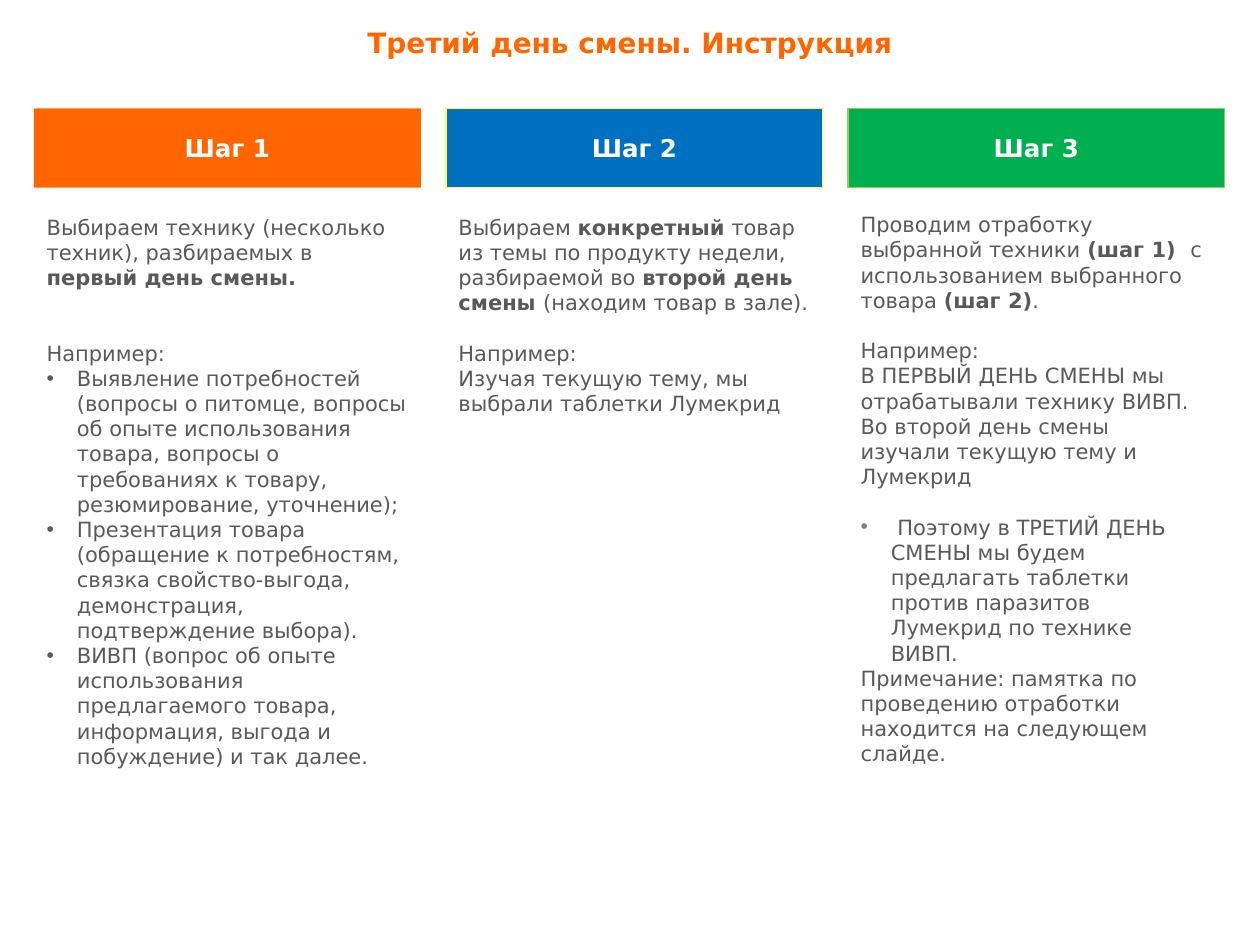
from dataclasses import dataclass
from typing import Optional

import pptx
import pptx.util
from lxml import etree
from pptx.dml.color import RGBColor
from pptx.enum.shapes import MSO_SHAPE
from pptx.enum.text import MSO_ANCHOR, MSO_AUTO_SIZE, PP_ALIGN
from pptx.oxml.ns import qn
from pptx.util import Inches

FONT = "DejaVu Sans"
ORANGE = RGBColor(0xFF, 0x66, 0x00)
BLUE = RGBColor(0x00, 0x70, 0xC0)
GREEN = RGBColor(0x00, 0xB0, 0x50)
YELLOW = RGBColor(0xFF, 0xFF, 0x47)
LIME = RGBColor(0x92, 0xD0, 0x50)
WHITE = RGBColor(0xFF, 0xFF, 0xFF)
DARK = RGBColor(0x59, 0x59, 0x59)
GRAY = RGBColor(0x80, 0x80, 0x80)

HEADER_TOP, HEADER_HEIGHT = 0.86, 0.63
LINE_HEIGHT = 14.4
BULLET_INDENT = 0.24


@dataclass(frozen=True)
class Para:
    """Text in which every second part between asterisks is bold."""
    text: str
    lines_before: int = 0
    bullet: Optional[RGBColor] = None


@dataclass(frozen=True)
class Step:
    title: str
    left: float
    width: float
    fill: RGBColor
    line: Optional[RGBColor]
    body_top: float
    body_width: float
    body_height: float
    paras: tuple[Para, ...]
    placeholder: Optional[int] = None


STEPS = (
    Step("Шаг 1", 0.27, 3.07, ORANGE, None, 1.65, 3.07, 4.96, (
        Para("Выбираем технику (несколько техник), разбираемых в *первый день смены.*"),
        Para("Например:", lines_before=2),
        Para("Выявление потребностей (вопросы о питомце, вопросы об опыте использования "
             "товара, вопросы о требованиях к товару, резюмирование, уточнение);", bullet=DARK),
        Para("Презентация товара (обращение к потребностям, связка свойство-выгода, "
             "демонстрация, подтверждение выбора).", bullet=DARK),
        Para("ВИВП (вопрос об опыте использования предлагаемого товара, информация, "
             "выгода и побуждение) и так далее.", bullet=DARK),
    ), placeholder=1),
    Step("Шаг 2", 3.54, 2.99, BLUE, YELLOW, 1.65, 2.99, 2.99, (
        Para("Выбираем *конкретный* товар из темы по продукту недели, разбираемой во "
             "*второй день смены *(находим товар в зале)."),
        Para("Например:", lines_before=1),
        Para("Изучая текущую тему, мы выбрали таблетки Лумекрид"),
    )),
    Step("Шаг 3", 6.73, 2.99, GREEN, LIME, 1.63, 2.91, 4.96, (
        Para("Проводим отработку выбранной техники *(шаг 1)  *с использованием "
             "выбранного товара *(шаг 2)*."),
        Para("Например:", lines_before=1),
        Para("В ПЕРВЫЙ ДЕНЬ СМЕНЫ мы отрабатывали технику ВИВП. Во второй день смены "
             "изучали текущую тему и Лумекрид"),
        Para(" Поэтому в ТРЕТИЙ ДЕНЬ СМЕНЫ мы будем предлагать таблетки против "
             "паразитов Лумекрид по технике ВИВП.", lines_before=1, bullet=GRAY),
        Para("Примечание: памятка по проведению отработки находится на следующем слайде."),
    ), placeholder=2),
)


def set_bullet(para, color: Optional[RGBColor]) -> None:
    """Give the paragraph a hanging bullet, or clear an inherited one."""
    props = para._p.get_or_add_pPr()
    indent = Inches(BULLET_INDENT) if color else 0
    props.set("marL", str(indent))
    props.set("indent", str(-indent))
    if color is None:
        etree.SubElement(props, qn("a:buNone"))
        return
    bullet_color = etree.SubElement(props, qn("a:buClr"))
    etree.SubElement(bullet_color, qn("a:srgbClr")).set("val", str(color))
    etree.SubElement(props, qn("a:buFont")).set("typeface", "Arial")
    etree.SubElement(props, qn("a:buChar")).set("char", "•")


def write_para(para, text: str, *, size: float, color: RGBColor, bold: bool = False,
               align=PP_ALIGN.LEFT, space_before: float = 0,
               bullet: Optional[RGBColor] = None) -> None:
    set_bullet(para, bullet)
    para.alignment = align
    para.space_before = pptx.util.Pt(space_before)
    for number, part in enumerate(text.split("*")):
        if part:
            span = para.add_run()
            span.text = part
            span.font.name = FONT
            span.font.size = pptx.util.Pt(size)
            span.font.bold = bold or number % 2 == 1
            span.font.color.rgb = color


def place(box, left: float, top: float, width: float, height: float,
          anchor=MSO_ANCHOR.TOP) -> None:
    box.left, box.top = Inches(left), Inches(top)
    box.width, box.height = Inches(width), Inches(height)
    frame = box.text_frame
    frame.word_wrap = True
    frame.auto_size = MSO_AUTO_SIZE.NONE
    frame.vertical_anchor = anchor


def draw_header(page, step: Step) -> None:
    box = page.shapes.add_shape(MSO_SHAPE.RECTANGLE, 0, 0, 0, 0)
    place(box, step.left, HEADER_TOP, step.width, HEADER_HEIGHT, MSO_ANCHOR.MIDDLE)
    box.shadow.inherit = False
    box.fill.solid()
    box.fill.fore_color.rgb = step.fill
    if step.line is None:
        box.line.fill.background()
    else:
        box.line.color.rgb = step.line
        box.line.width = pptx.util.Pt(0.75)
    write_para(box.text_frame.paragraphs[0], step.title, size=14, color=WHITE,
               bold=True, align=PP_ALIGN.CENTER)


def draw_body(page, step: Step) -> None:
    if step.placeholder is None:
        box = page.shapes.add_textbox(0, 0, 0, 0)
    else:
        box = page.placeholders[step.placeholder]
    place(box, step.left, step.body_top, step.body_width, step.body_height)
    frame = box.text_frame
    for number, item in enumerate(step.paras):
        para = frame.add_paragraph() if number else frame.paragraphs[0]
        write_para(para, item.text, size=12, color=DARK, bullet=item.bullet,
                   space_before=item.lines_before * LINE_HEIGHT)


def main() -> None:
    deck = pptx.Presentation()
    deck.slide_width, deck.slide_height = Inches(10), Inches(7.5)
    page = deck.slides.add_slide(deck.slide_layouts.get_by_name("Two Content"))
    title = page.shapes.title
    place(title, 0, 0.15, 10, 0.37)
    write_para(title.text_frame.paragraphs[0], "Третий день смены. Инструкция",
               size=16, color=ORANGE, bold=True, align=PP_ALIGN.CENTER)
    for step in STEPS:
        draw_header(page, step)
        draw_body(page, step)
    deck.save("out.pptx")


if __name__ == "__main__":
    main()
